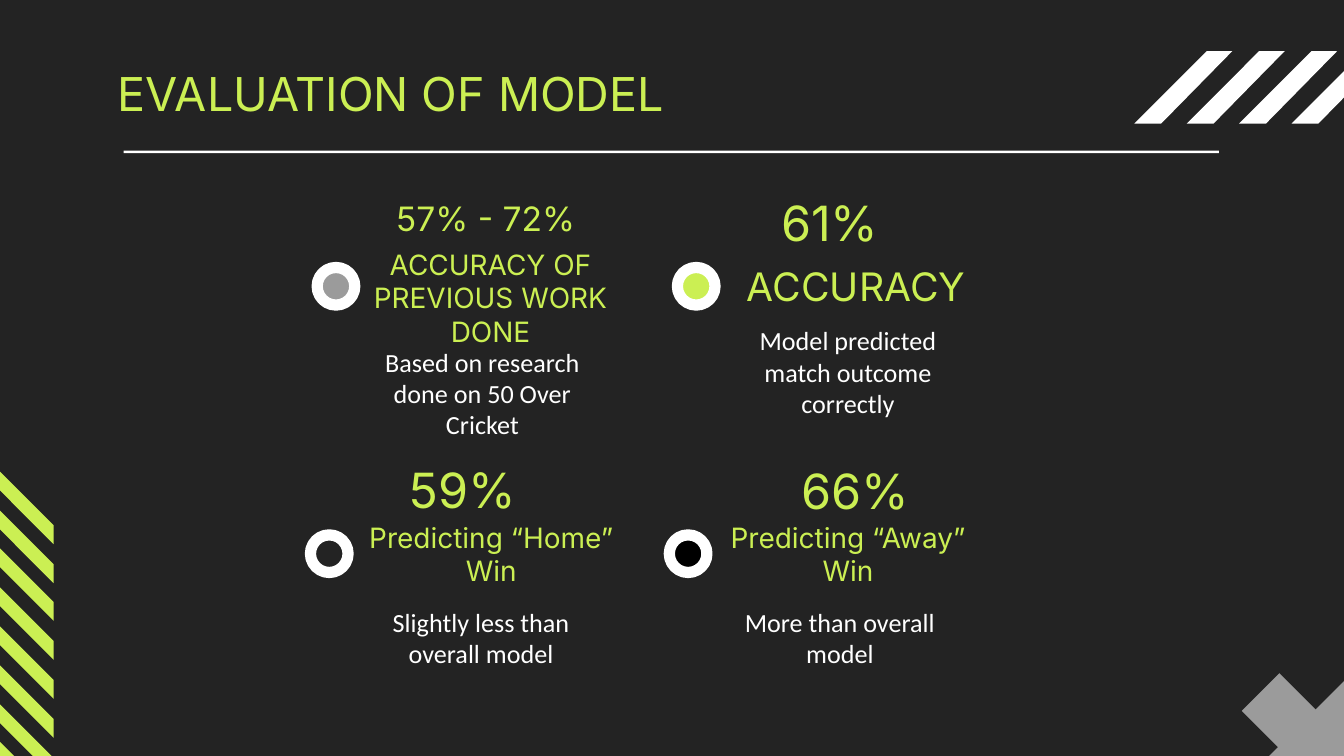
"""Build the slide that compares the accuracy of a match prediction model."""
from pptx import Presentation
from pptx.dml.color import RGBColor
from pptx.enum.shapes import MSO_SHAPE
from pptx.enum.text import MSO_ANCHOR, PP_ALIGN
from pptx.util import Pt

PX = 9144
SLIDE_WIDTH = 1000 * PX
SLIDE_HEIGHT = SLIDE_WIDTH * 9 // 16
DARK, LIME, WHITE, GRAY, BLACK = "232323", "CBEF53", "FFFFFF", "9B9B9B", "000000"

TITLE = ("EVALUATION OF MODEL", (78, 38, 844, 67), 25)
RESULTS = [
    {
        "figure": ("57% - 72%", (282, 148, 159, 28), 18),
        "label": ("ACCURACY OF PREVIOUS WORK DONE", (266, 180, 198, 83), 15),
        "detail": ("Based on research done on 50 Over Cricket", (266, 263, 186, 59), 14),
        "dot": (236, 199, GRAY),
    },
    {
        "figure": ("61%", (538, 151, 159, 28), 26),
        "label": ("ACCURACY", (538, 199, 198, 28), 21),
        "detail": ("Model predicted match outcome correctly", (538, 247, 186, 59), 14),
        "dot": (504, 199, LIME),
    },
    {
        "figure": ("59%", (265, 350, 159, 28), 26),
        "label": ("Predicting “Home” Win", (253, 398, 225, 28), 15),
        "detail": ("Slightly less than overall model", (265, 445, 186, 59), 14),
        "dot": (231, 398, DARK),
    },
    {
        "figure": ("66%", (557, 351, 159, 28), 26),
        "label": ("Predicting “Away” Win", (532, 398, 198, 28), 15),
        "detail": ("More than overall model", (532, 445, 186, 59), 14),
        "dot": (498, 398, BLACK),
    },
]
STYLES = {"figure": ("Inter", LIME), "label": ("Inter", LIME), "detail": ("Calibri", WHITE)}
DOT_SIZE = 28
RULE = (92, 112, 815, 2)

SLASH = [(54, 0), (0, 54), (20, 54), (73, 0)]
BAND = [(0, 0), (0, 14), (40, 54), (40, 40)]
CROSS_ARMS = [
    [(82, 0), (0, 82), (28, 110), (110, 28)],
    [(28, 0), (0, 28), (82, 110), (110, 82)],
]
ORNAMENTS = (
    [(SLASH, 844 + 39 * step, 38, WHITE) for step in range(4)]
    + [(arm, 924, 501, GRAY) for arm in CROSS_ARMS]
    + [(BAND, 0, round(351 + 28.75 * step), LIME) for step in range(8)]
)


def color(value):
    return RGBColor.from_string(value)


def emu(lengths):
    return [length * PX for length in lengths]


def set_values(target, values):
    for name, value in values.items():
        setattr(target, name, value)


def paint(shape, fill, line=None, width=0):
    shape.shadow.inherit = False
    shape.fill.solid()
    shape.fill.fore_color.rgb = color(fill)
    if line:
        shape.line.color.rgb = color(line)
        shape.line.width = Pt(width)
    else:
        shape.line.fill.background()


def add_ornament(page, points, left, top, fill):
    corners = [(left + x, top + y) for x, y in points]
    builder = page.shapes.build_freeform(*corners[0], scale=PX)
    builder.add_line_segments(corners[1:], close=True)
    paint(builder.convert_to_shape(), fill)


def add_text(page, content, style, anchor=MSO_ANCHOR.MIDDLE, align=PP_ALIGN.CENTER):
    words, area, size = content
    font, fill = style
    frame = page.shapes.add_textbox(*emu(area)).text_frame
    margins = {f"margin_{side}": 10 * PX for side in ("left", "top", "right", "bottom")}
    set_values(frame, {"word_wrap": True, "vertical_anchor": anchor, **margins})
    para = frame.paragraphs[0]
    para.alignment = align
    span = para.add_run()
    span.text = words
    set_values(span.font, {"name": font, "size": Pt(size)})
    span.font.color.rgb = color(fill)


def add_dot(page, left, top, fill):
    area = emu((left, top, DOT_SIZE, DOT_SIZE))
    paint(page.shapes.add_shape(MSO_SHAPE.OVAL, *area), fill, WHITE, 6)


def main():
    deck = Presentation()
    set_values(deck, {"slide_width": SLIDE_WIDTH, "slide_height": SLIDE_HEIGHT})
    page = deck.slides.add_slide(deck.slide_layouts[6])
    page.background.fill.solid()
    page.background.fill.fore_color.rgb = color(DARK)
    for ornament in ORNAMENTS:
        add_ornament(page, *ornament)
    paint(page.shapes.add_shape(MSO_SHAPE.RECTANGLE, *emu(RULE)), WHITE)
    add_text(page, TITLE, STYLES["label"], MSO_ANCHOR.TOP, PP_ALIGN.LEFT)
    for result in RESULTS:
        for part, style in STYLES.items():
            add_text(page, result[part], style)
        add_dot(page, *result["dot"])
    deck.save("out.pptx")


if __name__ == "__main__":
    main()
